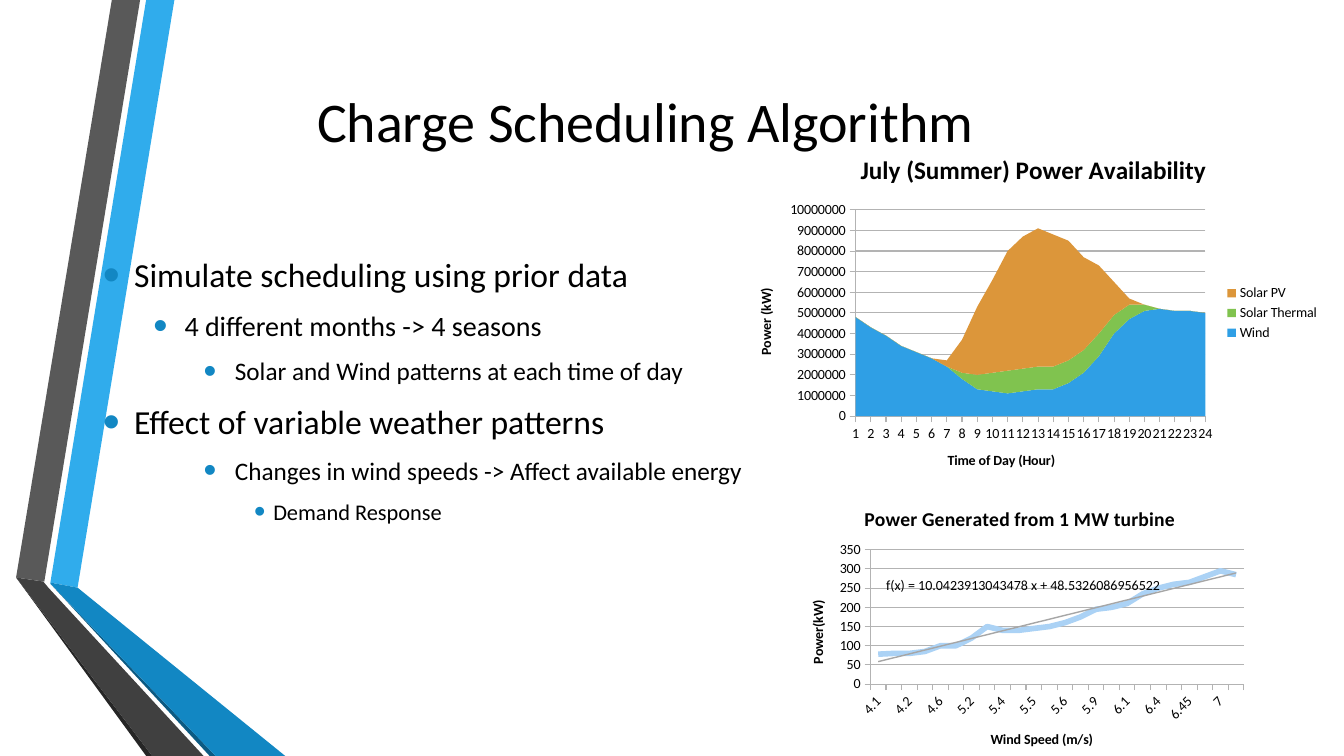
from dataclasses import dataclass

from lxml import etree
from pptx import Presentation
from pptx.chart.data import CategoryChartData
from pptx.dml.color import RGBColor
from pptx.enum.chart import XL_CHART_TYPE as ChartType, XL_LEGEND_POSITION as LegendPos
from pptx.enum.chart import XL_TICK_MARK as TickMark
from pptx.enum.text import MSO_ANCHOR as Anchor, PP_ALIGN as Align
from pptx.oxml import parse_xml
from pptx.oxml.ns import nsdecls, qn
from pptx.util import Inches, Pt


@dataclass(frozen=True)
class Theme:
    font: str = "Calibri"
    text: str = "000000"
    bullet: str = "1287C3"
    grid: str = "B3B3B3"
    trend: str = "A6A6A6"
    turbine: str = "ABD2F5"
    areas: tuple = ("2F9FE5", "80C34F", "DC963A")
    title_size: int = 40
    level_sizes: tuple = (24, 20, 18, 16)
    chart_size: int = 10


def rgb(value):
    return RGBColor.from_string(value)


class SlideBuilder:
    def __init__(self, slide, theme):
        self.slide, self.theme = slide, theme
        self.shapes = slide.shapes

    def style(self, font, size, bold=False):
        font.name, font.size, font.bold = self.theme.font, Pt(size), bold
        font.color.rgb = rgb(self.theme.text)

    def polygon(self, color, points):
        points = [(Inches(x), Inches(y)) for x, y in points]
        fb = self.shapes.build_freeform(*points[0])
        fb.add_line_segments(points[1:], close=True)
        s = fb.convert_to_shape()
        s.shadow.inherit = False
        s.fill.solid()
        s.fill.fore_color.rgb = rgb(color)
        s.line.fill.background()

    def place(self, sp, box):
        """Move a placeholder and bring it in front of the ribbons."""
        sp.left, sp.top, sp.width, sp.height = map(Inches, box)
        sp._element.getparent().append(sp._element)
        tf = sp.text_frame
        tf.word_wrap, tf.vertical_anchor = True, Anchor.MIDDLE
        return tf

    def title(self, text, box):
        tf = self.place(self.shapes.title, box)
        tf.text = text
        p = tf.paragraphs[0]
        p.alignment = Align.CENTER
        self.style(p.runs[0].font, self.theme.title_size)

    def bullets(self, items, box):
        tf = self.place(self.slide.placeholders[1], box)
        for i, (level, text) in enumerate(items):
            p = tf.paragraphs[0] if i == 0 else tf.add_paragraph()
            p.text, p.level, p.alignment = text, level, Align.LEFT
            size = self.theme.level_sizes[level]
            p.space_before, p.space_after = Pt(size * 0.2), Pt(6)
            self.style(p.runs[0].font, size)
            self.bullet(p, level)

    def bullet(self, p, level):
        left, hang = ((0.31, 0.31), (0.81, 0.31), (1.31, 0.31), (1.69, 0.19))[level]
        pPr = p._p.get_or_add_pPr()
        pPr.set("marL", str(Inches(left)))
        pPr.set("indent", str(-Inches(hang)))
        color = etree.SubElement(pPr, qn("a:buClr"))
        etree.SubElement(color, qn("a:srgbClr"), val=self.theme.bullet)
        etree.SubElement(pPr, qn("a:buSzPct"), val="145000")
        etree.SubElement(pPr, qn("a:buFont"), typeface="Arial")
        etree.SubElement(pPr, qn("a:buChar"), char="•")

    def label(self, text, box):
        tf = self.shapes.add_textbox(*map(Inches, box)).text_frame
        tf.margin_left = tf.margin_right = tf.margin_top = tf.margin_bottom = 0
        tf.word_wrap, tf.vertical_anchor = True, Anchor.MIDDLE
        tf.text = text
        self.style(tf.paragraphs[0].runs[0].font, self.theme.chart_size)

    def chart(self, kind, box, cats, series, title, title_size, axis_titles, plot_box):
        data = CategoryChartData()
        data.categories = cats
        for name, values in series:
            data.add_series(name, values)
        chart = self.shapes.add_chart(kind, *map(Inches, box), data).chart
        self.style(chart.font, self.theme.chart_size)
        chart.has_legend = False
        self.chart_text(chart.chart_title, title, title_size)
        chart.chart_title.include_in_layout = False
        axes = (chart.category_axis, chart.value_axis)
        for axis, text in zip(axes, axis_titles):
            self.chart_text(axis.axis_title, text, self.theme.chart_size)
            axis.major_tick_mark = TickMark.OUTSIDE
            axis.minor_tick_mark = TickMark.NONE
            axis.format.line.color.rgb = rgb(self.theme.grid)
        axes[0].has_major_gridlines = False
        axes[1].has_major_gridlines = True
        axes[1].major_gridlines.format.line.color.rgb = rgb(self.theme.grid)
        self.plot_layout(chart, plot_box)
        return chart

    def chart_text(self, holder, text, size):
        tf = holder.text_frame
        tf.text = text
        self.style(tf.paragraphs[0].runs[0].font, size, bold=True)

    def plot_layout(self, chart, plot_box):
        area = chart._chartSpace.find(".//" + qn("c:plotArea"))
        for old in area.findall(qn("c:layout")):
            area.remove(old)
        layout = etree.Element(qn("c:layout"))
        manual = etree.SubElement(layout, qn("c:manualLayout"))
        modes = (("layoutTarget", "inner"), ("xMode", "edge"), ("yMode", "edge"))
        for tag, value in modes + tuple(zip("xywh", plot_box)):
            etree.SubElement(manual, qn("c:" + tag), val=str(value))
        area.insert(0, layout)

    def area_chart(self, *args):
        chart = self.chart(ChartType.AREA_STACKED, *args)
        for s, color in zip(chart.plots[0].series, self.theme.areas):
            s.format.fill.solid()
            s.format.fill.fore_color.rgb = rgb(color)
        chart.has_legend = True
        chart.legend.position = LegendPos.RIGHT
        chart.legend.include_in_layout = False
        self.style(chart.legend.font, self.theme.chart_size)
        # Areas run right up to the axes
        chart._chartSpace.find(".//" + qn("c:crossBetween")).set("val", "midCat")

    def trend_chart(self, *args):
        chart = self.chart(ChartType.LINE, *args)
        chart.plots[0].vary_by_categories = False
        s = chart.plots[0].series[0]
        s.smooth = False
        s.format.line.width = Pt(4)
        s.format.line.color.rgb = rgb(self.theme.turbine)
        # Linear trend
        s._element.find(qn("c:cat")).addprevious(parse_xml(
            f'<c:trendline {nsdecls("c", "a")}><c:spPr><a:ln w="12700"><a:solidFill>'
            f'<a:srgbClr val="{self.theme.trend}"/></a:solidFill></a:ln></c:spPr>'
            '<c:trendlineType val="linear"/><c:dispRSqr val="0"/><c:dispEq val="0"/>'
            '</c:trendline>'))
        # Slanted category labels
        axis = chart.category_axis
        self.style(axis.tick_labels.font, self.theme.chart_size)
        axis._element.find(qn("c:txPr")).find(qn("a:bodyPr")).set("rot", "-2700000")


RIBBONS = (
    ("30ACEC", [(0.5, 5.78), (0.77, 5.83), (1.73, 0), (1.45, 0)]),
    ("595959", [(1.39, 0), (1.11, 0), (0.16, 5.73), (0.44, 5.77)]),
    ("262626", [(0.16, 5.73), (1.45, 7.5), (1.51, 7.5)]),
    ("0C5A82", [(0.5, 5.79), (2.08, 7.5), (2.14, 7.5)]),
    ("1287C3", [(0.5, 5.79), (2.14, 7.5), (2.83, 7.5), (0.77, 5.83), (0.5, 5.78)]),
    ("404040", [(2.02, 7.5), (0.48, 5.83), (0.43, 5.77), (0.16, 5.73), (1.51, 7.5)]),
)
BULLETS = (
    (0, "Simulate scheduling using prior data"),
    (1, "4 different months -> 4 seasons"),
    (2, "Solar and Wind patterns at each time of day"),
    (0, "Effect of variable weather patterns"),
    (2, "Changes in wind speeds -> Affect available energy"),
    (3, "Demand Response"),
)
# Hourly power in units of 100000 kW
HOURLY = (
    ("Wind", (48, 43, 39, 34, 31, 28, 24, 18, 13, 12, 11, 12,
              13, 13, 16, 21, 29, 40, 47, 51, 52, 51, 51, 50)),
    ("Solar Thermal", (0, 0, 0, 0, 0, 0, 0, 3, 7, 9, 11, 11,
                       11, 11, 11, 11, 11, 9, 7, 3, 0, 0, 0, 0)),
    ("Solar PV", (0, 0, 0, 0, 0, 0, 3, 16, 33, 45, 58, 64,
                  67, 64, 58, 45, 33, 16, 3, 0, 0, 0, 0, 0)),
)
SPEEDS = ("4.1 4.15 4.2 4.3 4.6 5 5.2 5.4 5.4 5.4 5.5 5.5 "
          "5.6 5.7 5.9 6 6.1 6.3 6.4 6.4 6.45 6.5 7 6.6.").split()
TURBINE = (78, 80, 80, 85, 100, 100, 120, 150, 140, 140, 145, 150,
           160, 175, 195, 200, 210, 235, 250, 260, 265, 280, 295, 285)


def main():
    prs = Presentation()
    prs.slide_width, prs.slide_height = Inches(13.33), Inches(7.5)
    b = SlideBuilder(prs.slides.add_slide(prs.slide_layouts[1]), Theme())

    # Ribbons, title and list
    for color, points in RIBBONS:
        b.polygon(color, points)
    b.title("Charge Scheduling Algorithm", (0.92, 0.23, 10.96, 1.92))
    b.bullets(BULLETS, (0.92, 2, 6.74, 3.73))

    # Charts
    power = [(name, [v * 100000 for v in values]) for name, values in HOURLY]
    b.area_chart((7.31, 1.34, 5.88, 3.53), [str(h) for h in range(1, 25)], power,
                 "July (Summer) Power Availability", 18,
                 ("Time of Day (Hour)", "Power (kW)"), (0.2, 0.21, 0.59, 0.58))
    b.trend_chart((7.8, 4.87, 4.63, 2.78), SPEEDS, [("Series 1", TURBINE)],
                  "Power Generated from 1 MW turbine", 14,
                  ("Wind Speed (m/s)", "Power(kW)"), (0.18, 0.21, 0.8, 0.48))
    b.label("f(x) = 10.0423913043478 x + 48.5326086956522", (8.79, 5.7, 2.9, 0.2))
    prs.save("out.pptx")


if __name__ == "__main__":
    main()
